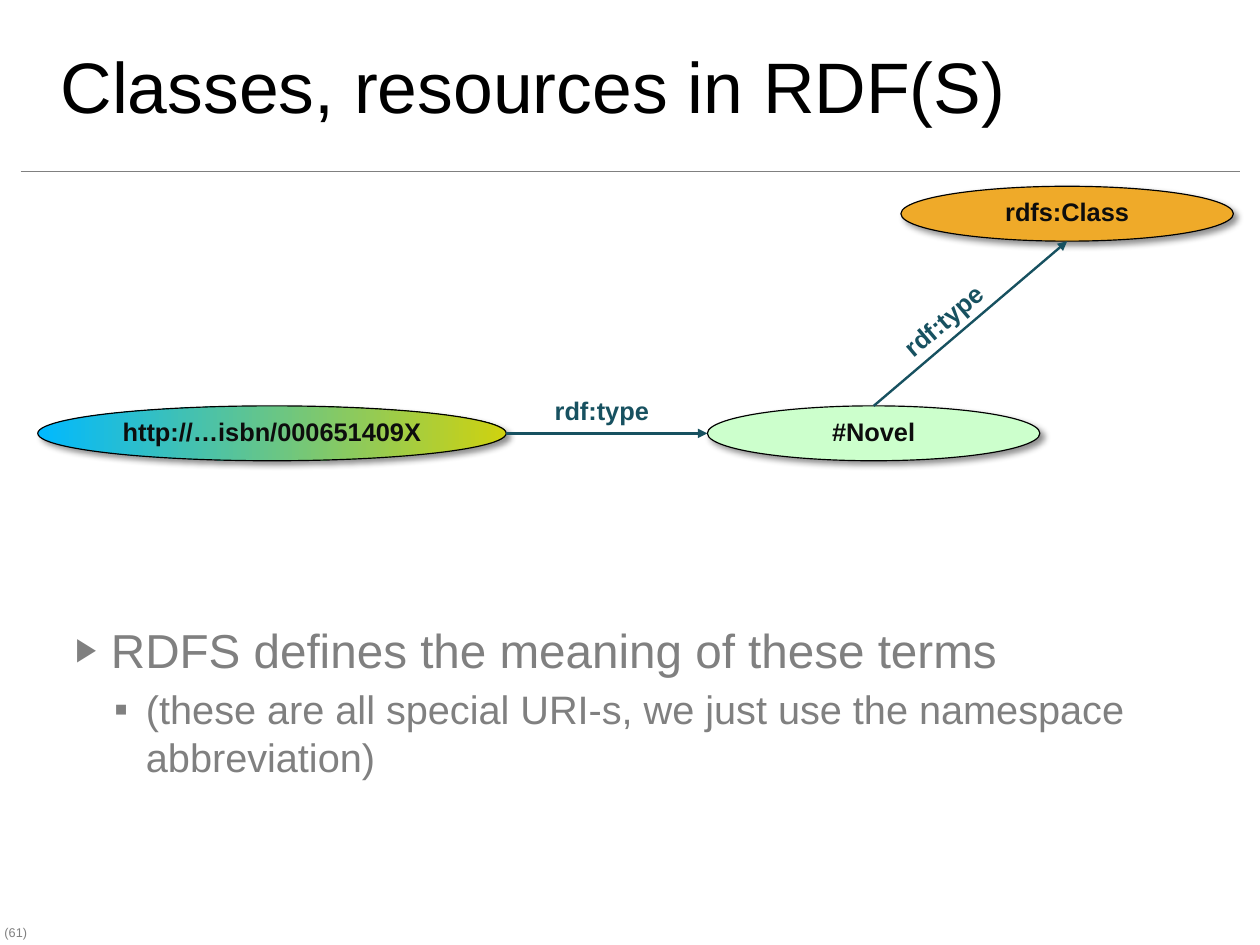
import pptx
import pptx.dml.color
import pptx.enum.shapes
import pptx.enum.text
import pptx.oxml
import pptx.oxml.ns
import pptx.util
from lxml import etree

Cm = pptx.util.Cm
Pt = pptx.util.Pt
ALIGN = pptx.enum.text.PP_ALIGN
ANCHOR = pptx.enum.text.MSO_ANCHOR

COLORS = {
    "black": "000000",
    "gray": "808080",
    "teal": "175160",
    "node text": "0D0D0D",
    "orange": "EFAA29",
    "mint": "CCFFCC",
    "blue": "00B9FF",
    "lime": "CFD20F",
}
NODE_HEIGHT = 1.22


def rgb(name):
    """Return the named colour as an RGBColor."""
    return pptx.dml.color.RGBColor.from_string(COLORS[name])


def add_element(parent, tag, **attributes):
    """Append a DrawingML element to a parent."""
    return etree.SubElement(parent, pptx.oxml.ns.qn(tag), attributes)


def place(shape, left, top, width, height):
    """Move and size a shape, in centimetres."""
    shape.left, shape.top = Cm(left), Cm(top)
    shape.width, shape.height = Cm(width), Cm(height)


def format_paragraph(paragraph, size, color, bold=False, align=ALIGN.LEFT, spacing=0.87):
    """Set the font, alignment and line spacing of a paragraph."""
    paragraph.alignment = align
    paragraph.line_spacing = spacing
    paragraph.font.name = "Arial"
    paragraph.font.size = Pt(size)
    paragraph.font.bold = bold
    paragraph.font.color.rgb = rgb(color)


def set_title(title, text):
    """Fill and format the title placeholder."""
    place(title, 1.09, 0.13, 26.04, 3.51)
    frame = title.text_frame
    frame.text = text
    frame.auto_size = pptx.enum.text.MSO_AUTO_SIZE.NONE
    frame.vertical_anchor = ANCHOR.MIDDLE
    format_paragraph(frame.paragraphs[0], 45, "black", spacing=1.0)


def add_bullet(paragraph, character, indent, hanging, percent):
    """Give a paragraph a gray bullet with a hanging indent."""
    properties = paragraph._p.get_or_add_pPr()
    properties.set("marL", str(Cm(indent)))
    properties.set("indent", str(-Cm(hanging)))
    color = add_element(properties, "a:buClr")
    add_element(color, "a:srgbClr", val=COLORS["gray"])
    add_element(properties, "a:buSzPct", val=str(percent * 1000))
    add_element(properties, "a:buFont", typeface="Arial")
    add_element(properties, "a:buChar", char=character)


def set_body(body, items):
    """Fill the body placeholder with a bulleted list."""
    place(body, 1.09, 13.67, 25.98, 5.74)
    frame = body.text_frame
    frame.auto_size = pptx.enum.text.MSO_AUTO_SIZE.NONE
    frame.text = "\n".join(text for text, *_ in items)
    for level, (paragraph, item) in enumerate(zip(frame.paragraphs, items)):
        _, size, character, indent, hanging, percent = item
        paragraph.level = level
        paragraph.space_before = Pt(4.4 * level)
        add_bullet(paragraph, character, indent, hanging, percent)
        format_paragraph(paragraph, size, "gray", spacing=1.0)


def add_label(slide, text, left, top, width, height, rotation=0, **style):
    """Add a line of free text."""
    label = slide.shapes.add_textbox(Cm(left), Cm(top), Cm(width), Cm(height))
    label.rotation = rotation
    label.text_frame.word_wrap = True
    label.text_frame.text = text
    format_paragraph(label.text_frame.paragraphs[0], **style)
    return label


def add_shadow(shape):
    """Give a shape a soft shadow to the lower right."""
    shape.shadow.inherit = False
    effects = shape._element.spPr.find(pptx.oxml.ns.qn("a:effectLst"))
    shadow = add_element(effects, "a:outerShdw", blurRad=str(Pt(4)), dist=str(Pt(3)),
                         dir="2700000", algn="tl", rotWithShape="0")
    color = add_element(shadow, "a:srgbClr", val=COLORS["black"])
    add_element(color, "a:alpha", val="43000")


def add_node(slide, text, left, top, width, *fills):
    """Add an ellipse node with a solid fill or a two-colour gradient."""
    node = slide.shapes.add_shape(pptx.enum.shapes.MSO_SHAPE.OVAL,
                                  Cm(left), Cm(top), Cm(width), Cm(NODE_HEIGHT))
    if len(fills) == 1:
        node.fill.solid()
        node.fill.fore_color.rgb = rgb(fills[0])
    else:
        node.fill.gradient()
        node.fill.gradient_angle = 0
        for position, (stop, fill) in enumerate(zip(node.fill.gradient_stops, fills)):
            stop.position = position
            stop.color.rgb = rgb(fill)
    node.line.color.rgb = rgb("black")
    node.line.width = Pt(0.75)
    add_shadow(node)
    frame = node.text_frame
    frame.word_wrap = False
    frame.vertical_anchor = ANCHOR.MIDDLE
    frame.text = text
    format_paragraph(frame.paragraphs[0], 16, "node text", True, ALIGN.CENTER)
    return node


def add_line(slide, start, end, color, width, arrow=False):
    """Add a straight line, with an arrowhead at its end if asked."""
    line = slide.shapes.add_connector(pptx.enum.shapes.MSO_CONNECTOR.STRAIGHT, *start, *end)
    line.line.color.rgb = rgb(color)
    line.line.width = Pt(width)
    if arrow:
        add_element(line.line._get_or_add_ln(), "a:tailEnd", type="triangle")
    add_element(line._element.spPr, "a:effectLst")


def main():
    """Build the slide and save it."""
    presentation = pptx.Presentation()
    presentation.slide_width, presentation.slide_height = Cm(28), Cm(21)
    slide = presentation.slides.add_slide(presentation.slide_layouts[1])

    set_title(slide.shapes.title, "Classes, resources in RDF(S)")
    set_body(slide.placeholders[1], [
        ("RDFS defines the meaning of these terms", 30, "▶", 1.12, 0.79, 68),
        ("(these are all special URI-s, we just use the namespace abbreviation)",
         25, "▪", 1.9, 0.71, 100),
    ])
    add_line(slide, (Cm(0.46), Cm(3.81)), (Cm(27.56), Cm(3.81)), "gray", 1)
    number = add_label(slide, "(61)", 0, 20.47, 1.05, 0.53, size=8, color="gray")
    number.text_frame.margin_left = Cm(0.1)

    book = add_node(slide, "http://…isbn/000651409X", 0.84, 9.02, 10.41, "blue", "lime")
    novel = add_node(slide, "#Novel", 15.72, 9.02, 7.39, "mint")
    rdfs_class = add_node(slide, "rdfs:Class", 20.02, 4.14, 7.39, "orange")

    middle = book.top + book.height // 2
    add_line(slide, (book.left + book.width, middle), (novel.left, middle), "teal", 1.5, True)
    add_line(slide, (novel.left + novel.width // 2, novel.top),
             (rdfs_class.left + rdfs_class.width // 2, rdfs_class.top + rdfs_class.height),
             "teal", 1.5, True)
    for left, top, rotation in ((11.05, 8.76, 0), (18.67, 6.73, -40.2)):
        add_label(slide, "rdf:type", left, top, 4.65, 0.86, rotation,
                  size=16, color="teal", bold=True, align=ALIGN.CENTER)

    presentation.save("out.pptx")


if __name__ == "__main__":
    main()
